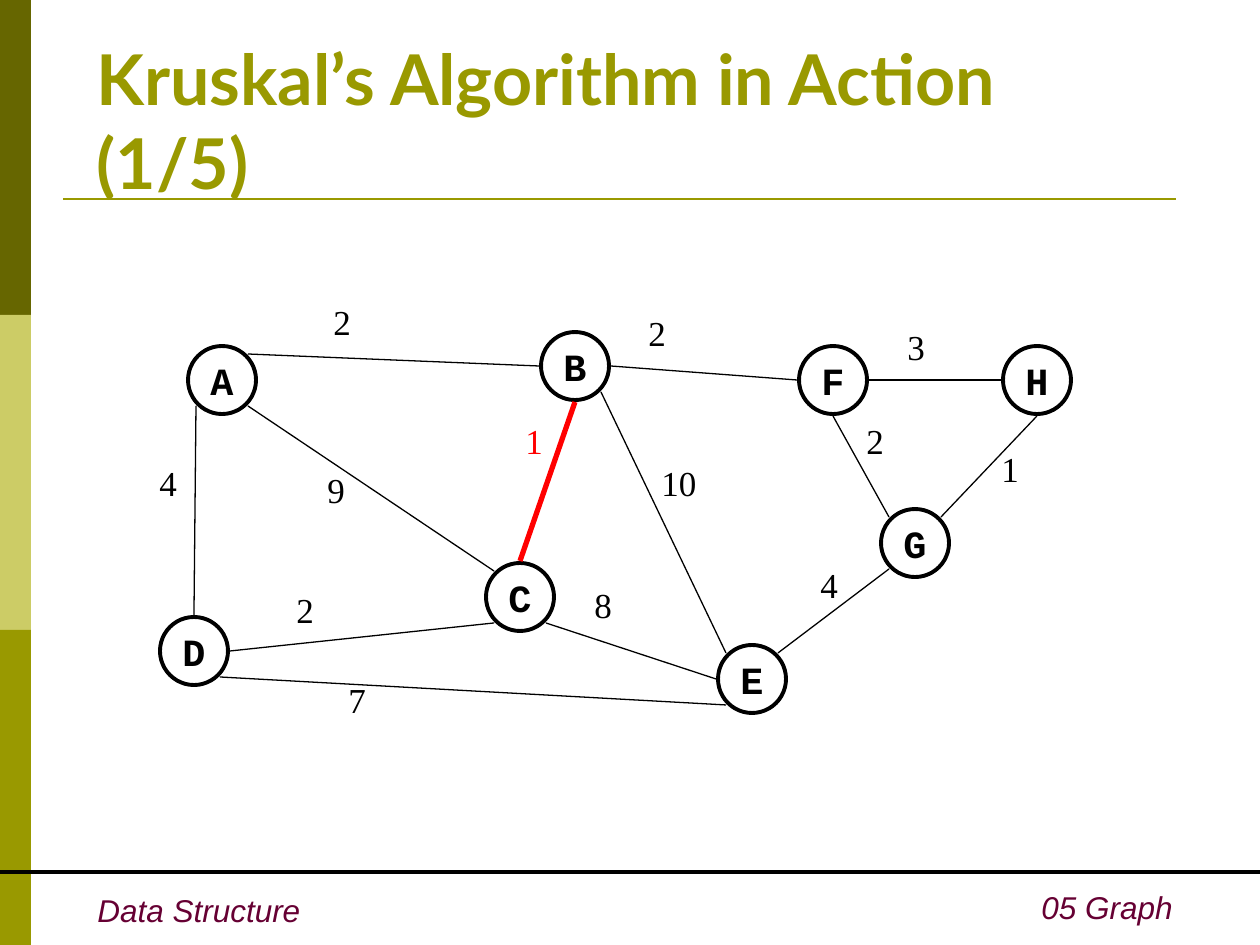
from lxml import etree
from pptx import Presentation
from pptx import util as u
from pptx.dml.color import RGBColor
from pptx.enum import shapes, text
from pptx.oxml.ns import qn

BLACK = RGBColor(0x00, 0x00, 0x00)
WHITE = RGBColor(0xFF, 0xFF, 0xFF)
RED = RGBColor(0xFF, 0x00, 0x00)
DARK = RGBColor(0x66, 0x66, 0x00)
PALE = RGBColor(0xCC, 0xCC, 0x66)
OLIVE = RGBColor(0x99, 0x99, 0x00)
PLUM = RGBColor(0x66, 0x00, 0x33)

LEFT = text.PP_ALIGN.LEFT
RIGHT = text.PP_ALIGN.RIGHT
CENTER = text.PP_ALIGN.CENTER
TOP = text.MSO_ANCHOR.TOP
MIDDLE = text.MSO_ANCHOR.MIDDLE
BOTTOM = text.MSO_ANCHOR.BOTTOM

WIDE, HIGH = 1260, 945
SIZE, REACH, SLANT = 68, 36, 26
SITES = {
    "N": (0, -REACH), "S": (0, REACH), "W": (-REACH, 0), "E": (REACH, 0),
    "NW": (-SLANT, -SLANT), "NE": (SLANT, -SLANT),
    "SW": (-SLANT, SLANT), "SE": (SLANT, SLANT),
}
NODES = {
    "A": (222, 380), "C": (520, 597), "B": (575, 366), "D": (194, 651),
    "F": (833, 380), "H": (1037, 380), "G": (915, 543), "E": (752, 679),
}
EDGES = [
    ("A", "NE", "B", "W", "2", 321, 294),
    ("B", "S", "C", "N", "1", 513, 413),
    ("D", "E", "C", "SW", "2", 284, 582),
    ("A", "SW", "D", "N", "4", 147, 455),
    ("C", "SE", "E", "W", "8", 582, 577),
    ("E", "SW", "D", "SE", "7", 336, 672),
    ("G", "NW", "F", "S", "2", 854, 413),
    ("F", "E", "H", "W", "3", 895, 319),
    ("H", "S", "G", "NE", "1", 989, 441),
    ("B", "E", "F", "W", "2", 636, 305),
    ("B", "SE", "E", "NW", "10", 649, 455),
    ("A", "SE", "C", "NW", "9", 315, 462),
    ("E", "NE", "G", "SW", "4", 808, 557),
]
CHOSEN = {("B", "C")}


def px(*vals):
    return [u.Emu(round(val * 914400 / 126)) for val in vals]


class Board:
    def __init__(self, slide):
        self.items = slide.shapes

    def letter(self, shape, words, face, size, color, bold=False, italic=False,
               align=LEFT, anchor=TOP, wrap=False):
        frame = shape.text_frame
        frame.text = words
        frame.word_wrap = wrap
        frame.vertical_anchor = anchor
        para = frame.paragraphs[0]
        para.alignment = align
        font = para.runs[0].font
        font.name, font.size = face, u.Pt(size)
        font.bold, font.italic = bold, italic
        font.color.rgb = color
        return frame

    def label(self, x, y, w, h, words, face, size, color, **style):
        box = self.items.add_textbox(*px(x, y, w, h))
        return self.letter(box, words, face, size, color, **style)

    def shape(self, kind, x, y, w, h, fill):
        item = self.items.add_shape(kind, *px(x, y, w, h))
        item.shadow.inherit = False
        item.fill.solid()
        item.fill.fore_color.rgb = fill
        item.line.fill.background()
        return item

    def band(self, y, fill):
        self.shape(shapes.MSO_SHAPE.RECTANGLE, 0, y, 31, HIGH // 3, fill)

    def node(self, name, x, y):
        half = SIZE // 2
        item = self.shape(shapes.MSO_SHAPE.OVAL, x - half, y - half,
                          SIZE, SIZE, WHITE)
        item.line.color.rgb = BLACK
        item.line.width = u.Pt(2.25)
        self.letter(item, name, "Courier New", 22, BLACK, bold=True,
                    align=CENTER, anchor=MIDDLE)

    def line(self, start, end, color, width):
        item = self.items.add_connector(shapes.MSO_CONNECTOR.STRAIGHT,
                                        *px(*start, *end))
        item.line.color.rgb = color
        item.line.width = u.Pt(width)
        etree.SubElement(item.element.spPr, qn("a:effectLst"))

    def edge(self, head, out, tail, into, cost, x, y):
        chosen = (head, tail) in CHOSEN
        color = RED if chosen else BLACK
        ends = [(NODES[name][0] + SITES[site][0], NODES[name][1] + SITES[site][1])
                for name, site in ((head, out), (tail, into))]
        self.line(*ends, color, 3 if chosen else 0.75)
        self.label(x, y, 25 + 18 * len(cost), 55, cost,
                   "Times New Roman", 20, color)


def main():
    deck = Presentation()
    deck.slide_width, deck.slide_height = px(WIDE, HIGH)
    board = Board(deck.slides.add_slide(deck.slide_layouts[6]))

    for row, fill in enumerate((DARK, PALE, OLIVE)):
        board.band(row * HIGH // 3, fill)
    board.line((63, 199), (1176, 199), OLIVE, 1.5)
    board.line((0, 872), (WIDE, 872), BLACK, 2.25)
    board.label(85, 885, 228, 50, "Data Structure", "Arial", 18, PLUM,
                italic=True)
    board.label(660, 882, 525, 50, "05 Graph", "Arial", 18, PLUM,
                italic=True, align=RIGHT, wrap=True)
    title = board.label(84, 53, 1092, 157, "Kruskal’s Algorithm in Action (1/5)",
                        "Lato", 40, OLIVE, bold=True, anchor=BOTTOM, wrap=True)
    title.margin_right = px(40)[0]

    for name, spot in NODES.items():
        board.node(name, *spot)
    for edge in EDGES:
        board.edge(*edge)
    deck.save("out.pptx")


if __name__ == "__main__":
    main()
